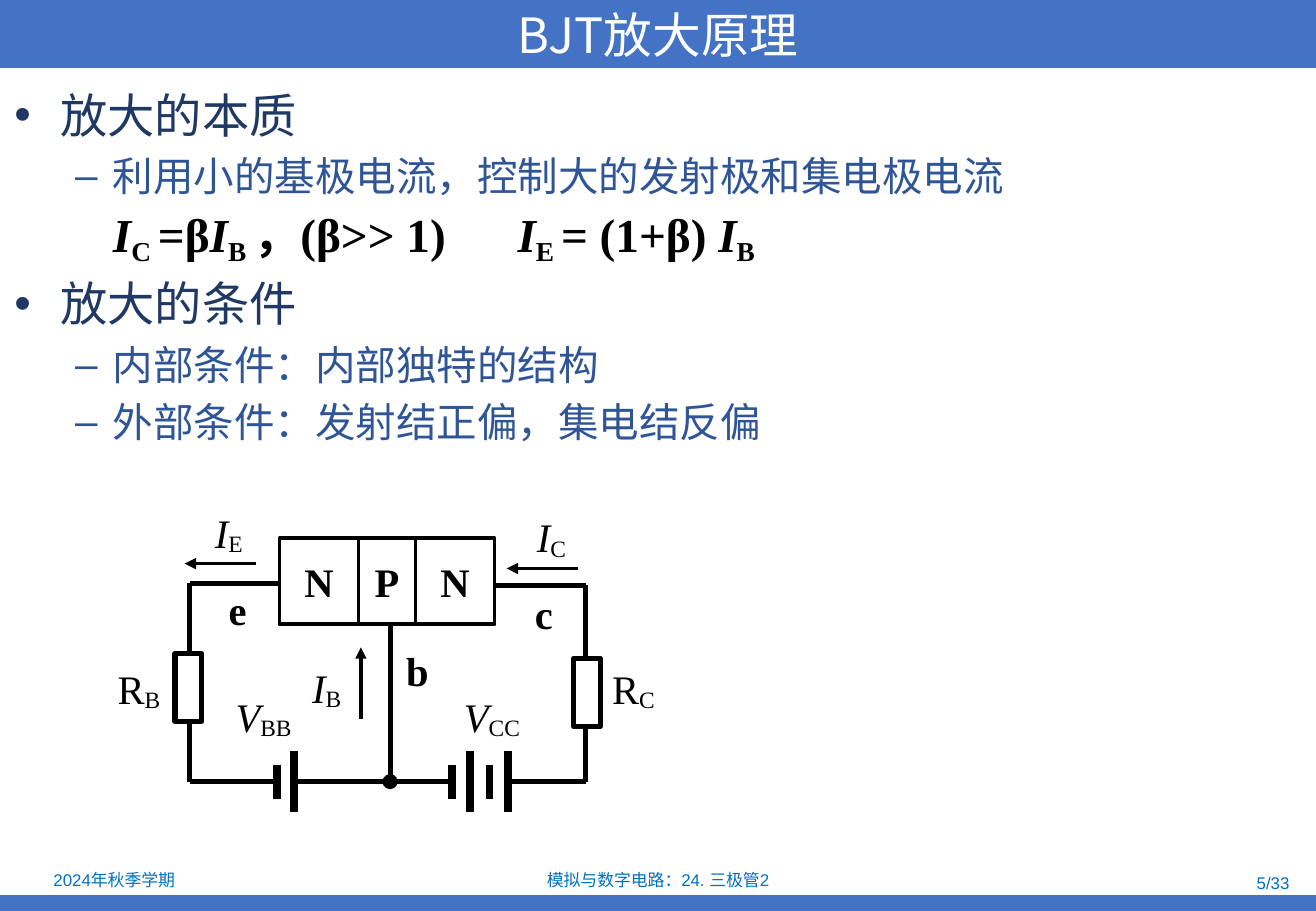
from lxml import etree
from pptx import Presentation
from pptx.dml.color import RGBColor
from pptx.enum.shapes import MSO_CONNECTOR, MSO_SHAPE
from pptx.enum.text import MSO_ANCHOR, PP_ALIGN
from pptx.oxml.ns import qn
from pptx.util import Inches, Pt

RECT, STRAIGHT = MSO_SHAPE.RECTANGLE, MSO_CONNECTOR.STRAIGHT
TOP, MIDDLE = MSO_ANCHOR.TOP, MSO_ANCHOR.MIDDLE
LEFT, CENTER, RIGHT = PP_ALIGN.LEFT, PP_ALIGN.CENTER, PP_ALIGN.RIGHT
BLUE = RGBColor(0x44, 0x72, 0xC4)
NAVY = RGBColor(0x20, 0x38, 0x64)
MID_BLUE = RGBColor(0x2F, 0x55, 0x97)
FOOTER_BLUE = RGBColor(0x00, 0x70, 0xC0)
WHITE = RGBColor(0xFF, 0xFF, 0xFF)
BLACK = RGBColor(0, 0, 0)
SANS, CJK, SERIF = "Arial", "Noto Sans CJK SC", "Times New Roman"

CELL = 0.1
WIDTH, HEIGHT = 108.3, 75

TITLE = "BJT放大原理"
OUTLINE = [
    (0, "放大的本质", 0),
    (1, "利用小的基极电流，控制大的发射极和集电极电流", 4.8),
    (0, "放大的条件", 43),
    (1, "内部条件：内部独特的结构", 4.8),
    (1, "外部条件：发射结正偏，集电结反偏", 4.8),
]
LEVELS = [
    dict(bullet="•", margin=0.38, hang=0.38, size=28, pitch=35, color=NAVY),
    dict(bullet="–", margin=0.81, hang=0.31, size=24, pitch=29, color=MID_BLUE),
]
FOOTERS = [
    ("2024年秋季学期", 0.2, 71.3, 18.4, 2.3, CENTER),
    ("模拟与数字电路：24. 三极管2", 37, 71.4, 34.3, 2.1, CENTER),
    ("5/33", 81.8, 71.6, 25.3, 2.1, RIGHT),
]
FORMULAS = [
    (9.3, 32.2, [("I", "italic"), ("C ", "sub"), ("=β", ""), ("I", "italic"),
                 ("B ", "sub"), ("，(β>> 1)", "")]),
    (42.6, 26, [("I", "italic"), ("E ", "sub"), ("= (1+β) ", ""),
                ("I", "italic"), ("B", "sub")]),
]

EMITTER, BASE, COLLECTOR = 15.6, 32.1, 48.2
RAIL, EMITTER_ROW, COLLECTOR_ROW = 64.35, 48, 48.2
REGION_TOP, REGION_HEIGHT = 44.3, 7.1
REGIONS = [("N", 23, 6.5), ("P", 29.5, 4.7), ("N", 34.2, 6.5)]
TERMINALS = [("e", 15.6, 47.7, 7.9), ("b", 32.4, 52.7, 3.9), ("c", 41.2, 48, 7.1)]
QUANTITIES = [
    ("R", "B", "", 8.7, 54.2, 5.7), ("R", "C", "", 49.4, 54.2, 5.7),
    ("V", "BB", "italic", 18.4, 56.5, 7), ("V", "CC", "italic", 37.2, 56.5, 7),
    ("I", "B", "italic", 24.7, 54.1, 4.6), ("I", "E", "italic", 16.7, 41.3, 4.5),
    ("I", "C", "italic", 43.2, 41.7, 4.6),
]
WIRES = [
    (EMITTER, EMITTER_ROW, 23, EMITTER_ROW),
    (40.8, COLLECTOR_ROW, COLLECTOR, COLLECTOR_ROW),
    (EMITTER, EMITTER_ROW, EMITTER, RAIL),
    (COLLECTOR, COLLECTOR_ROW, COLLECTOR, RAIL),
    (EMITTER, RAIL, 22.8, RAIL),
    (24.2, RAIL, BASE, RAIL),
    (BASE, RAIL, 37.2, RAIL),
    (41.8, RAIL, COLLECTOR, RAIL),
]
CURRENTS = [(29.7, 59.2, 29.7, 53.3), (21.1, 46.4, 15.2, 46.4), (47.6, 46.8, 41.7, 46.8)]
RESISTORS = [(EMITTER - 0.1, 53.8), (COLLECTOR + 0.1, 54.2)]
PLATES = [(22.8, 2.8), (24.2, 5), (37.2, 2.8), (38.7, 5), (40.3, 2.8), (41.8, 5)]


def cells(*values):
    return [Inches(value * CELL) for value in values]


def add_runs(paragraph, pieces, size, color, font=SANS, bold=False, drop=-20):
    for words, style in pieces:
        run = paragraph.add_run()
        run.text = words
        look = dict(name=font, size=Pt(size), bold=bold, italic=style == "italic")
        for key, value in look.items():
            setattr(run.font, key, value)
        run.font.color.rgb = color
        props = run._r.get_or_add_rPr()
        etree.SubElement(props, qn("a:ea")).set("typeface", CJK)
        if style == "sub":
            props.set("baseline", str(drop * 1000))


def set_frame(shape, anchor=TOP, wrap=True, inset=None):
    frame = shape.text_frame
    layout = dict(vertical_anchor=anchor, word_wrap=wrap)
    if inset is not None:
        layout.update(margin_left=inset, margin_right=inset,
                      margin_top=inset, margin_bottom=inset)
    for key, value in layout.items():
        setattr(frame, key, value)
    return frame


def add_label(slide, pieces, box, size, color, align=LEFT, anchor=TOP,
              wrap=False, inset=None, **look):
    frame = set_frame(slide.shapes.add_textbox(*cells(*box)), anchor, wrap, inset)
    frame.paragraphs[0].alignment = align
    add_runs(frame.paragraphs[0], pieces, size, color, **look)


def add_box(slide, box, fill=None, outline=0):
    shape = slide.shapes.add_shape(RECT, *cells(*box))
    shape.shadow.inherit = False
    if fill is None:
        shape.fill.background()
    else:
        shape.fill.solid()
        shape.fill.fore_color.rgb = fill
    if outline:
        shape.line.color.rgb = BLACK
        shape.line.width = Pt(outline)
    else:
        shape.line.fill.background()
    return shape


def add_wire(slide, ends, width=3, tip=None):
    wire = slide.shapes.add_connector(STRAIGHT, *cells(*ends))
    wire.line.color.rgb = BLACK
    wire.line.width = Pt(width)
    if tip:
        etree.SubElement(wire.line._get_or_add_ln(), qn("a:tailEnd")).set("type", tip)
    etree.SubElement(wire._element.spPr, qn("a:effectLst"))


def add_outline(slide):
    frame = set_frame(slide.shapes.add_textbox(*cells(0.2, 6.4, 108.1, 65)))
    for index, (level, words, before) in enumerate(OUTLINE):
        form = LEVELS[level]
        item = frame.add_paragraph() if index else frame.paragraphs[0]
        props = item._p.get_or_add_pPr()
        props.set("marL", str(Inches(form["margin"])))
        props.set("indent", str(-Inches(form["hang"])))
        etree.SubElement(props, qn("a:buFont")).set("typeface", SANS)
        etree.SubElement(props, qn("a:buChar")).set("char", form["bullet"])
        item.level = level
        item.line_spacing = Pt(form["pitch"])
        if before:
            item.space_before = Pt(before)
        add_runs(item, [(words, "")], form["size"], form["color"])


def add_circuit(slide):
    for ends in WIRES:
        add_wire(slide, ends)
    add_wire(slide, (BASE, REGION_TOP + REGION_HEIGHT, BASE, RAIL), tip="oval")
    for name, left, width in REGIONS:
        region = add_box(slide, (left, REGION_TOP, width, REGION_HEIGHT), outline=2.25)
        frame = set_frame(region, MIDDLE, False)
        frame.paragraphs[0].alignment = CENTER
        add_runs(frame.paragraphs[0], [(name, "")], 24, BLACK, SERIF, True)
    for center, top in RESISTORS:
        add_box(slide, (center - 1.1, top, 2.2, 5.6), WHITE, 3)
    for column, length in PLATES:
        add_wire(slide, (column, RAIL - length / 2, column, RAIL + length / 2), 4.5)
    for ends in CURRENTS:
        add_wire(slide, ends, 2.25, "triangle")
    for name, left, top, width in TERMINALS:
        add_label(slide, [(name, "")], (left, top, width, 5), 24, BLACK,
                  CENTER, font=SERIF, bold=True)
    for symbol, index, style, left, top, width in QUANTITIES:
        add_label(slide, [(symbol, style), (index, "sub")], (left, top, width, 5),
                  24, BLACK, font=SERIF, drop=-10)


def main():
    deck = Presentation()
    deck.slide_width, deck.slide_height = cells(WIDTH, HEIGHT)
    slide = deck.slides.add_slide(deck.slide_layouts[6])
    add_box(slide, (0, HEIGHT - 1.3, WIDTH, 1.3), BLUE)
    banner = set_frame(add_box(slide, (0, 0, WIDTH, 5.6), BLUE), MIDDLE, inset=0)
    banner.paragraphs[0].alignment = CENTER
    add_runs(banner.paragraphs[0], [(TITLE, "")], 28.8, WHITE, CJK)
    add_outline(slide)
    for words, left, top, width, height, align in FOOTERS:
        add_label(slide, [(words, "")], (left, top, width, height), 10,
                  FOOTER_BLUE, align, MIDDLE, True)
    for left, width, pieces in FORMULAS:
        add_label(slide, pieces, (left, 16.9, width, 4.7), 28, BLACK,
                  inset=0, font=SERIF, bold=True)
    add_circuit(slide)
    deck.save("out.pptx")


if __name__ == "__main__":
    main()
